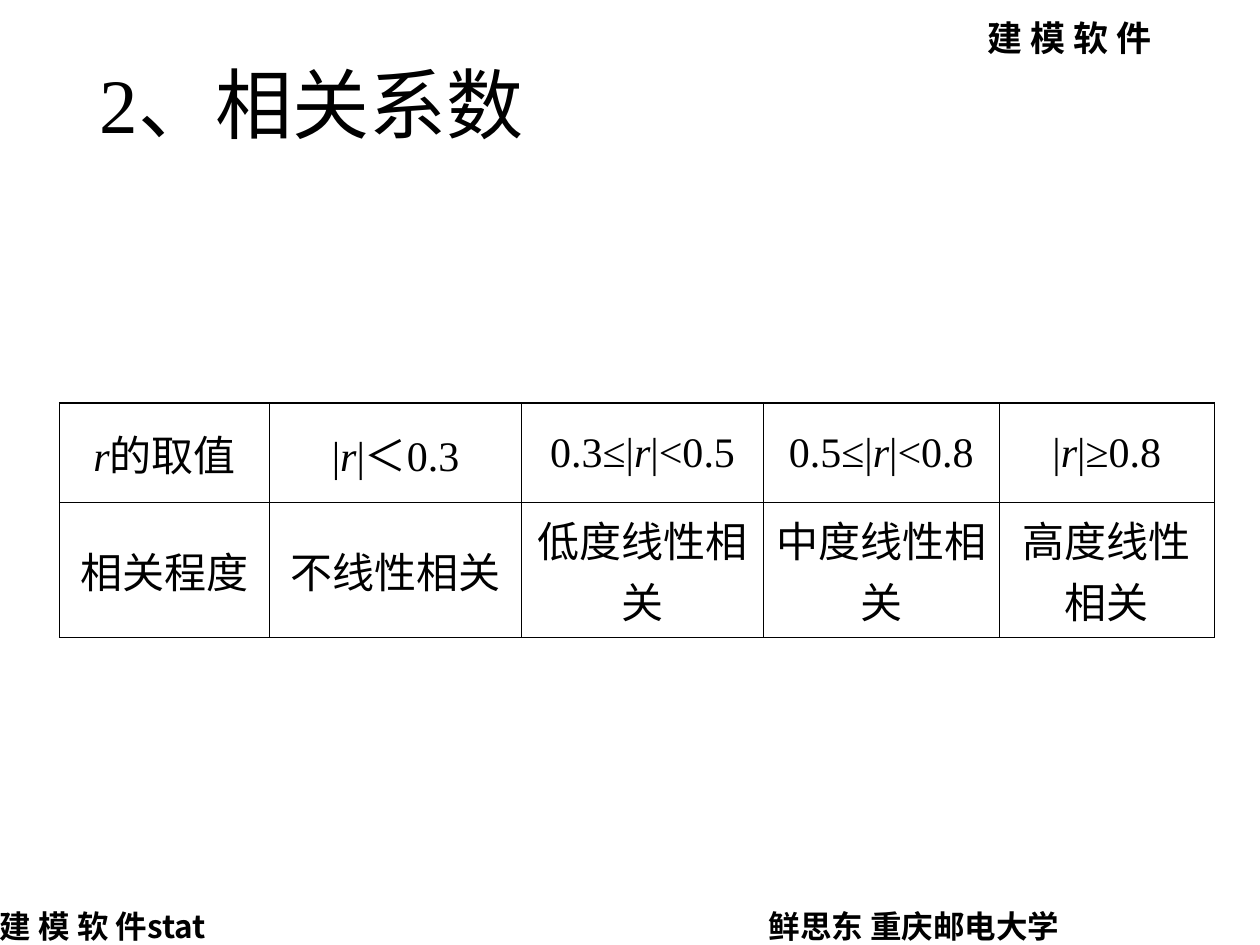
from lxml import etree
from pptx import Presentation
from pptx import util as u
from pptx.dml.color import RGBColor
from pptx.enum import shapes, text
from pptx.oxml import ns

BLACK = RGBColor(0, 0, 0)
WHITE = RGBColor(255, 255, 255)
LATIN = "Times New Roman"
CHINESE = "Noto Sans CJK SC"
THIN, THICK = 0.45, 0.96


class SlideBuilder:
    """Holds the text style and the current slide, and adds elements to it."""

    def __init__(self, presentation):
        self.slide = presentation.slides.add_slide(presentation.slide_layouts[5])

    def add_run(self, paragraph, words, size, font=LATIN, bold=False, italic=False):
        run = paragraph.add_run()
        run.text = words
        run.font.size = u.Pt(size)
        run.font.name = font
        run.font.bold = bold
        run.font.italic = italic
        run.font.color.rgb = BLACK
        east_asian = etree.SubElement(run.font._element, ns.qn("a:ea"))
        east_asian.set("typeface", CHINESE)

    def title(self, words, left, top, width, height):
        shape = self.slide.shapes.title
        shape.left, shape.top = u.Inches(left), u.Inches(top)
        shape.width, shape.height = u.Inches(width), u.Inches(height)
        frame = shape.text_frame
        frame.vertical_anchor = text.MSO_ANCHOR.TOP
        frame.auto_size = text.MSO_AUTO_SIZE.NONE
        frame.word_wrap = True
        paragraph = frame.paragraphs[0]
        paragraph.alignment = text.PP_ALIGN.LEFT
        self.add_run(paragraph, words, 44)

    def label(self, words, left, top, width, height, size, font=CHINESE, fill=None):
        box = [u.Inches(length) for length in (left, top, width, height)]
        if fill is None:
            shape = self.slide.shapes.add_textbox(*box)
        else:
            shape = self.slide.shapes.add_shape(shapes.MSO_SHAPE.RECTANGLE, *box)
            shape.shadow.inherit = False
            shape.fill.solid()
            shape.fill.fore_color.rgb = fill
            shape.line.fill.background()
        frame = shape.text_frame
        frame.margin_left = frame.margin_right = 0
        frame.margin_top = frame.margin_bottom = 0
        frame.vertical_anchor = text.MSO_ANCHOR.TOP
        frame.word_wrap = True
        paragraph = frame.paragraphs[0]
        paragraph.alignment = text.PP_ALIGN.LEFT
        self.add_run(paragraph, words, size, font, bold=True)

    def border(self, cell, side, width):
        properties = cell._tc.get_or_add_tcPr()
        line = etree.SubElement(properties, ns.qn(f"a:ln{side}"), w=str(u.Pt(width)))
        solid = etree.SubElement(line, ns.qn("a:solidFill"))
        etree.SubElement(solid, ns.qn("a:srgbClr"), val=str(BLACK))

    def table(self, rows, left, top, widths, heights):
        frame = self.slide.shapes.add_table(
            len(rows), len(widths), u.Inches(left), u.Inches(top),
            u.Inches(sum(widths)), u.Inches(sum(heights)))
        table = frame.table
        table.first_row = table.horz_banding = False
        for column, width in zip(table.columns, widths):
            column.width = u.Inches(width)
        for row, height in zip(table.rows, heights):
            row.height = u.Inches(height)
        last_row, last_column = len(rows) - 1, len(widths) - 1
        for i, row in enumerate(rows):
            for j, runs in enumerate(row):
                cell = table.cell(i, j)
                self.border(cell, "L", THIN)
                self.border(cell, "R", THICK if j == last_column else THIN)
                self.border(cell, "T", THICK if i == 0 else THIN)
                self.border(cell, "B", THICK if i == last_row else THIN)
                cell.fill.background()
                cell.vertical_anchor = text.MSO_ANCHOR.MIDDLE
                paragraph = cell.text_frame.paragraphs[0]
                paragraph.alignment = text.PP_ALIGN.CENTER
                for words in runs:
                    font = "DejaVu Sans" if words == "线性" else LATIN
                    self.add_run(paragraph, words, 24, font, italic=words == "r")


def main():
    presentation = Presentation()
    presentation.slide_width = u.Inches(10)
    presentation.slide_height = u.Inches(7.5)
    builder = SlideBuilder(presentation)
    builder.label("建 模 软 件", 7.84, 0.13, 1.49, 0.33, 20, fill=WHITE)
    builder.label("建 模 软 件stat", 0, 7.2, 1.77, 0.3, 18, "Noto Sans CJK JP")
    builder.label("鲜思东 重庆邮电大学", 6.1, 7.2, 2.87, 0.3, 18)
    builder.title("2、相关系数", 0.69, 0.4, 8.63, 1.45)
    ranges = [("", "|＜0.3"), ("0.3≤", "|<0.5"), ("0.5≤", "|<0.8"), ("", "|≥0.8")]
    values = [["r", "的取值"]] + [[f"{low}|", "r", high] for low, high in ranges]
    degrees = [["相关程度"], ["不线性相关"]]
    degrees += [[f"{level}度", "线性", "相关"] for level in "低中高"]
    builder.table([values, degrees], 0.47, 3.2, [1.67, 2, 1.92, 1.87, 1.71], [0.79, 1.07])
    presentation.save("out.pptx")


if __name__ == "__main__":
    main()
